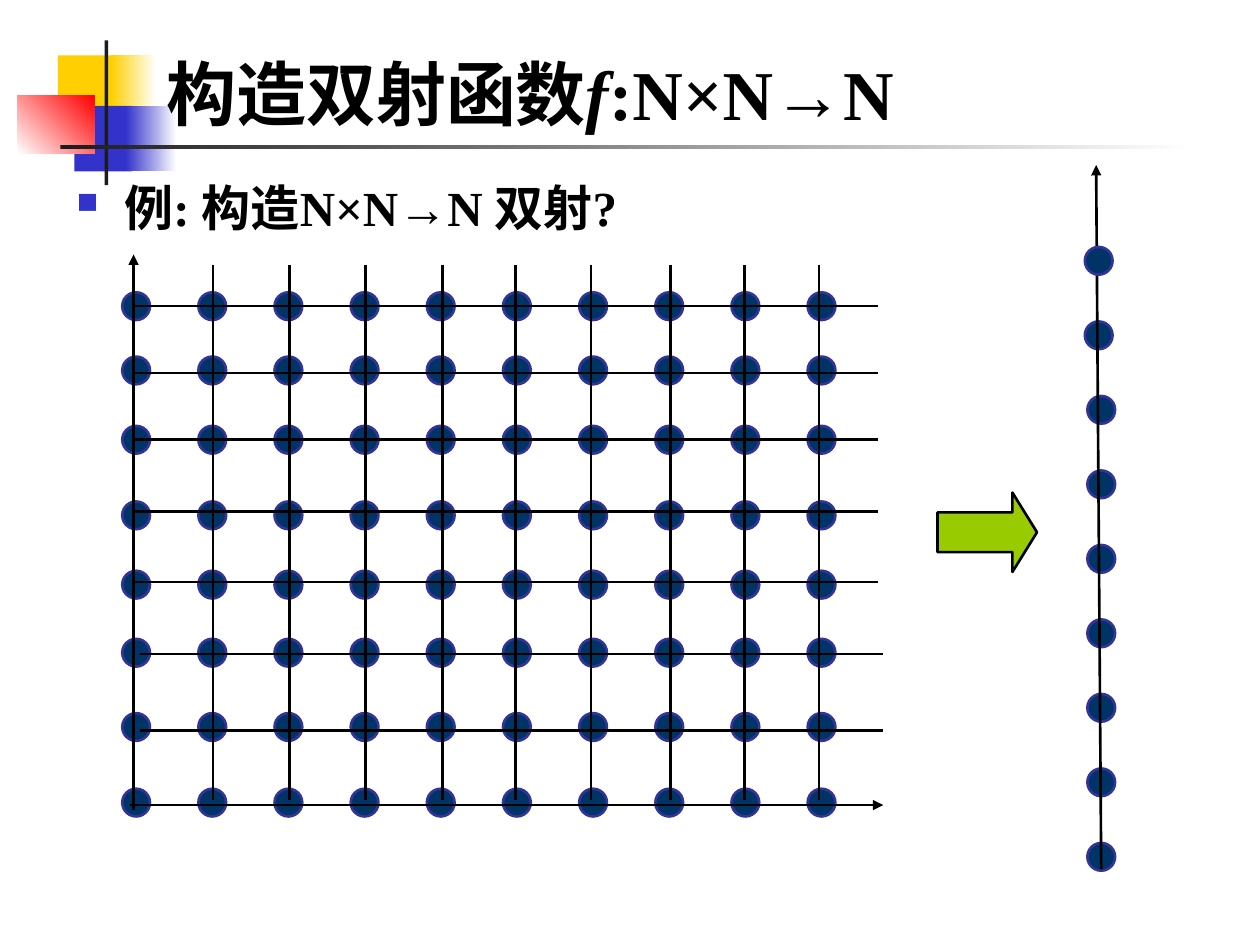
"""Slide on building a bijection from N×N to N, with a lattice and a number line."""
from typing import NamedTuple, Optional

from lxml.etree import SubElement
from pptx import Presentation
from pptx.dml.color import RGBColor
from pptx.enum.shapes import MSO_CONNECTOR as Connector, MSO_SHAPE as Preset
from pptx.enum.text import MSO_ANCHOR as Anchor, MSO_AUTO_SIZE as AutoSize, PP_ALIGN as Align
from pptx.oxml.ns import qn
from pptx.util import Inches, Pt

COLORS = {
    "white": "FFFFFF", "black": "000000", "yellow": "FFCF01", "blue": "3333CC",
    "red": "FF0000", "charcoal": "1C1C1C", "dot": "003366", "dot_edge": "333399",
    "arrow": "99CC00",
}
FONT = "Times New Roman"
DOT_SIZE = 0.22
COLUMN_COUNT = 10
AXIS_DOT_COUNT = 9


class Band(NamedTuple):
    """Decorative rectangle, solid or fading from one colour to another."""
    left: float
    top: float
    width: float
    height: float
    color: str
    fade_to: Optional[str] = None
    angle: float = 0


class Segment(NamedTuple):
    """Straight line, optionally ending in an arrowhead."""
    x1: float
    y1: float
    x2: float
    y2: float
    arrow: bool = False


BANDS = [
    Band(0.46, 0.44, 0.48, 0.52, "yellow"),
    Band(0.88, 0.44, 0.36, 0.52, "yellow", "white"),
    Band(0.59, 0.84, 0.46, 0.52, "blue"),
    Band(1, 0.84, 0.4, 0.52, "blue", "white"),
    Band(0.14, 0.76, 0.61, 0.46, "white", "red", 45),
    Band(0.83, 0.32, 0.03, 1.15, "charcoal"),
    Band(0.48, 1.15, 9, 0.03, "charcoal", "white"),
]
DOT_ROWS = [2.43, 2.94, 3.49, 4.09, 4.64, 5.18, 5.77, 6.37]
AXES = [Segment(1.06, 6.43, 1.06, 2.02, True), Segment(1.03, 6.39, 7.01, 6.39, True)]
ROW_LINES = [Segment(1.11, y, 7.01, y) for y in (5.8, 5.19)]
ROW_LINES += [Segment(1.06, y, 6.97, y) for y in (4.62, 4.06, 3.49, 2.96, 2.43)]
COLUMN_LINES = [Segment(x, 2.1, x, 6.35) for x in (1.69, 2.3, 2.9, 3.51, 4.09, 4.69, 5.32, 5.91, 6.5)]


def color(name: str) -> RGBColor:
    """Look up a named colour."""
    return RGBColor.from_string(COLORS[name])


def spread(first: float, last: float, count: int) -> list[float]:
    """Return evenly spaced positions including both ends."""
    return [first + (last - first) * index / (count - 1) for index in range(count)]


def add_filled(shapes, preset, left: float, top: float, width: float, height: float,
               fill: str, edge: Optional[str] = None):
    """Add a preset shape with a solid fill and an optional outline."""
    shape = shapes.add_shape(preset, Inches(left), Inches(top), Inches(width), Inches(height))
    shape.shadow.inherit = False
    shape.fill.solid()
    shape.fill.fore_color.rgb = color(fill)
    if edge:
        shape.line.color.rgb = color(edge)
        shape.line.width = Pt(1.5)
    else:
        shape.line.fill.background()
    return shape


def add_band(shapes, band: Band) -> None:
    """Add a decorative rectangle."""
    shape = add_filled(shapes, Preset.RECTANGLE, *band[:5])
    if band.fade_to:
        shape.fill.gradient()
        shape.fill.gradient_angle = band.angle
        for stop, name in zip(shape.fill.gradient_stops, (band.color, band.fade_to)):
            stop.color.rgb = color(name)


def add_dot(shapes, x: float, y: float) -> None:
    """Add a dot centred on a point."""
    add_filled(shapes, Preset.OVAL, x - DOT_SIZE / 2, y - DOT_SIZE / 2,
               DOT_SIZE, DOT_SIZE, "dot", "dot_edge")


def add_segment(shapes, segment: Segment) -> None:
    """Add a black line."""
    connector = shapes.add_connector(Connector.STRAIGHT, *map(Inches, segment[:4]))
    connector.line.color.rgb = color("black")
    connector.line.width = Pt(1.5)
    if segment.arrow:
        SubElement(connector.line._get_or_add_ln(), qn("a:tailEnd"), type="triangle")
    SubElement(connector.element.spPr, qn("a:effectLst"))


def add_run(paragraph, text: str, *, size: float, italic: bool = False) -> None:
    """Append bold black text to a paragraph."""
    run = paragraph.add_run()
    run.text = text
    font = run.font
    font.name, font.size, font.bold, font.italic = FONT, Pt(size), True, italic
    font.color.rgb = color("black")


def format_title(slide) -> None:
    """Place and fill the title above the decoration."""
    title = slide.shapes.title
    title.left, title.top = Inches(1.22), Inches(0.28)
    title.width, title.height = Inches(8.52), Inches(0.84)
    slide.shapes[-1].element.addnext(title.element)
    frame = title.text_frame
    frame.auto_size = AutoSize.NONE
    frame.vertical_anchor = Anchor.BOTTOM
    paragraph = frame.paragraphs[0]
    paragraph.alignment = Align.LEFT
    for text, italic in (("构造双射函数", False), ("f", True), (":N×N→N", False)):
        add_run(paragraph, text, size=40, italic=italic)


def add_example(slide) -> None:
    """Add the bulleted example line."""
    box = slide.shapes.add_textbox(Inches(0.51), Inches(1.31), Inches(9.13), Inches(5.43))
    box.text_frame.word_wrap = True
    paragraph = box.text_frame.paragraphs[0]
    paragraph.line_spacing = 1.1
    paragraph.space_before = Pt(7)
    add_run(paragraph, "例: 构造N×N→N 双射?", size=28)
    properties = paragraph._p.get_or_add_pPr()
    properties.set("marL", str(Inches(0.38)))
    properties.set("indent", str(Inches(-0.38)))
    SubElement(SubElement(properties, qn("a:buClr")), qn("a:srgbClr"), val=COLORS["blue"])
    SubElement(properties, qn("a:buSzPct"), val="60000")
    SubElement(properties, qn("a:buChar"), char="■")


def add_lattice(slide) -> None:
    """Add the N×N lattice of dots with its lines."""
    shapes = slide.shapes.add_group_shape().shapes
    for y in DOT_ROWS:
        for x in spread(1.08, 6.52, COLUMN_COUNT):
            add_dot(shapes, x, y)
    for segment in AXES + ROW_LINES + COLUMN_LINES:
        add_segment(shapes, segment)


def add_number_line(slide) -> None:
    """Add the vertical N axis, whose top dot covers the line."""
    shapes = slide.shapes.add_group_shape().shapes
    top, *others = spread(2.07, 6.8, AXIS_DOT_COUNT)
    for index, y in enumerate(others):
        add_dot(shapes, 8.74 if index else 8.72, y)
    add_segment(shapes, Segment(8.74, 6.9, 8.7, 1.31, True))
    add_dot(shapes, 8.72, top)


def main() -> None:
    """Build and save the slide."""
    presentation = Presentation()
    presentation.slide_width, presentation.slide_height = Inches(10), Inches(7.5)
    slide = presentation.slides.add_slide(presentation.slide_layouts[5])
    for band in BANDS:
        add_band(slide.shapes, band)
    format_title(slide)
    add_example(slide)
    add_lattice(slide)
    add_number_line(slide)
    arrow = add_filled(slide.shapes, Preset.RIGHT_ARROW, 7.44, 3.91, 0.79, 0.63, "arrow", "black")
    arrow.adjustments[0], arrow.adjustments[1] = 0.5, 0.31
    presentation.save("out.pptx")


if __name__ == "__main__":
    main()
